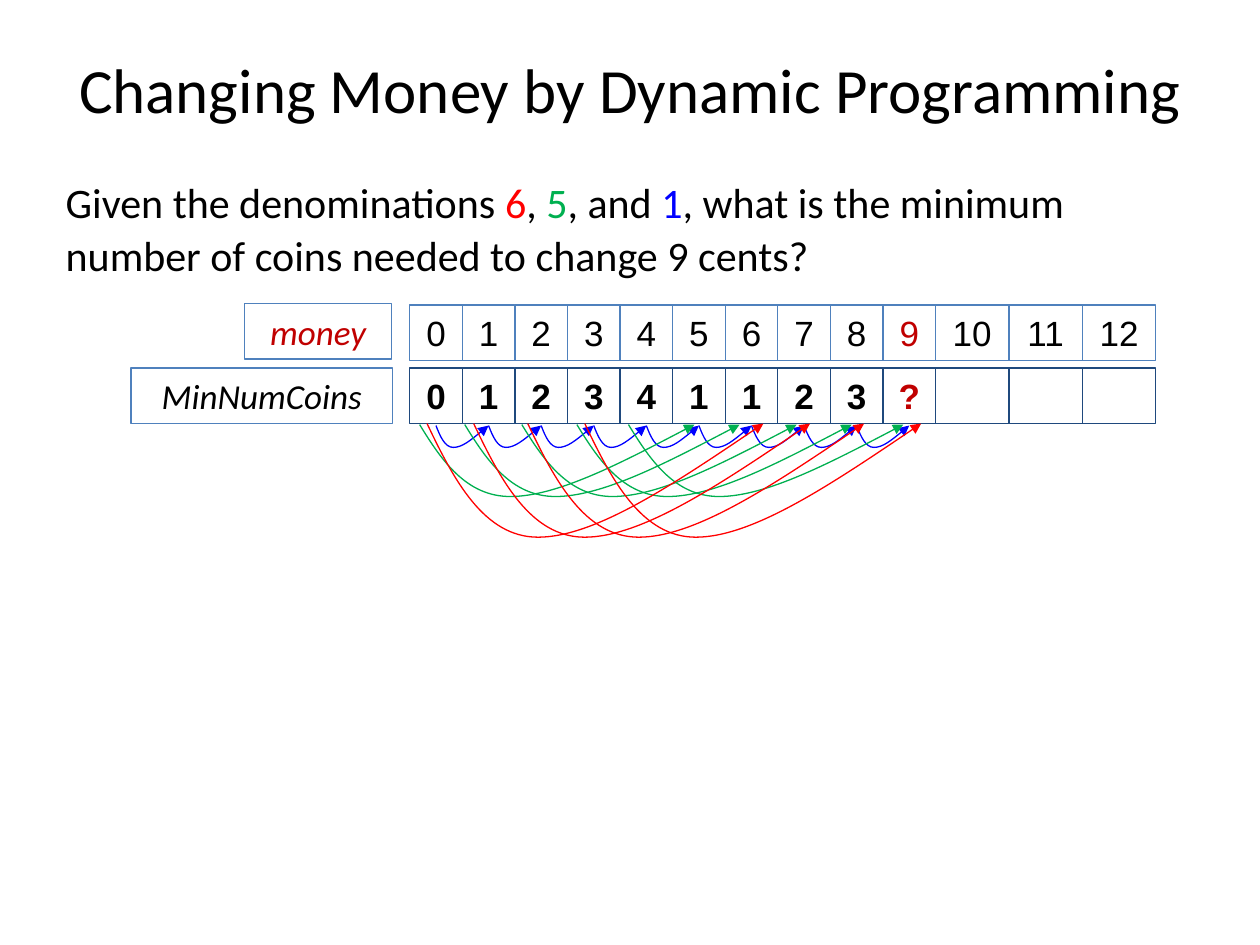
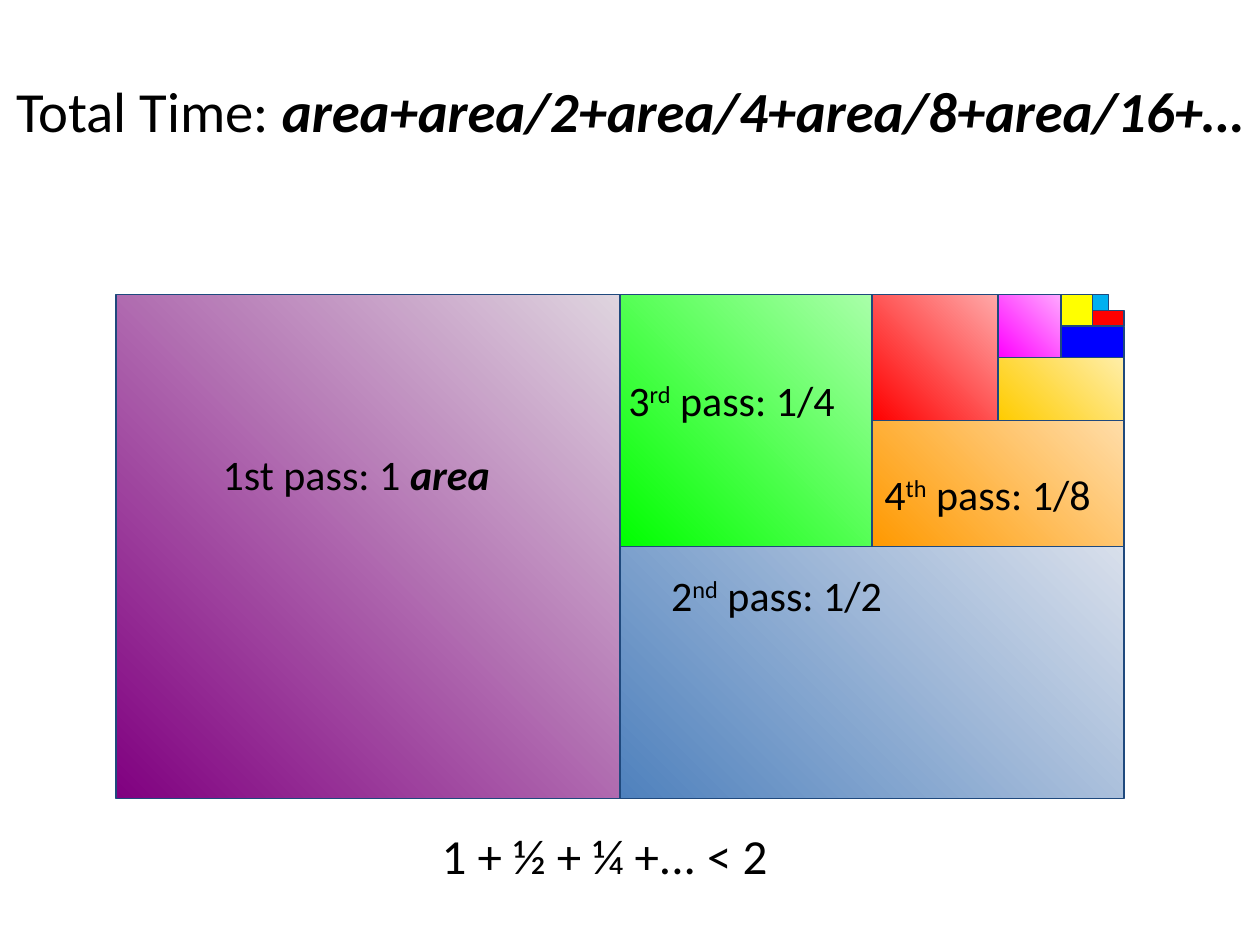
from dataclasses import dataclass

from lxml.etree import SubElement
from pptx import Presentation
from pptx.dml.color import RGBColor
from pptx.enum.shapes import MSO_SHAPE as Preset
from pptx.enum.text import MSO_ANCHOR as Anchor, MSO_AUTO_SIZE as AutoSize, PP_ALIGN as Align
from pptx.oxml.ns import qn
from pptx.util import Cm, Pt


@dataclass(frozen=True)
class Theme:
    font: str = "Calibri"
    cell_font: str = "Arial"
    black: str = "000000"
    red: str = "FF0000"
    green: str = "00B050"
    blue: str = "0000FF"
    accent: str = "C00000"
    light_line: str = "4F81BD"
    dark_line: str = "1F497D"
    title_size: float = 36
    formula_size: float = 32.4
    sum_size: float = 28
    text_size: float = 24
    cell_size: float = 20
    line_width: float = 0.75


THEME = Theme()
CELL_LEFT, CELL_WIDTH, WIDE_CELL_WIDTH, CELL_HEIGHT = 8.26, 1.06, 1.48, 1.12
MONEY_TOP, COINS_TOP = 6.15, 7.42
ARC_POINTS = [(0.75, 0.5), (0.5, 1), (0.33, 1), (0.17, 1), (0.08, 0.5), (0, 0)]
PASS_FILLS = [
    ("800080", "DFD5DF"), ("4F81BD", "D8DFEB"), ("00FF00", "A9FFA9"),
    ("FF9900", "FFDDA9"), ("FF0000", "FFA9A9"), ("FFCC00", "FFEEA9"),
    ("FF00FF", "FFA9FF"), ("0000FF",), ("FFFF00",), ("FF0000",), ("00B0F0",),
]


def rgb(color):
    return RGBColor.from_string(color)


def write_text(shape, runs, size, font=THEME.font, align=Align.LEFT, color=THEME.black,
               bold=None, italic=None):
    frame = shape.text_frame
    frame.word_wrap = True
    frame.auto_size = AutoSize.NONE
    paragraph = frame.paragraphs[0]
    paragraph.alignment = align
    paragraph.space_before = Pt(0)
    paragraph.font.name = font
    paragraph.font.size = Pt(size)
    paragraph.font.bold = bold
    paragraph.font.italic = italic
    paragraph.font.color.rgb = rgb(color)
    for text, style in runs:
        run = paragraph.add_run()
        run.text = text
        if style == "strong":
            run.font.bold = run.font.italic = True
        elif style == "super":
            run._r.get_or_add_rPr().set("baseline", "30000")
        elif style:
            run.font.color.rgb = rgb(style)
    return paragraph


def place(shape, left, top, width, height):
    shape.left, shape.top, shape.width, shape.height = map(Cm, (left, top, width, height))


def add_title(slide, box, runs, size):
    title = slide.shapes.title
    place(title, *box)
    title.text_frame.vertical_anchor = Anchor.MIDDLE
    write_text(title, runs, size, align=Align.CENTER)


def add_body(slide, box, runs, size, indent=0):
    body = slide.placeholders[1]
    place(body, *box)
    properties = body.text_frame.paragraphs[0]._p.get_or_add_pPr()
    properties.set("marL", str(Cm(indent)))
    properties.set("indent", "0")
    SubElement(properties, qn("a:buNone"))
    return write_text(body, runs, size)


def add_label(slide, box, runs):
    write_text(slide.shapes.add_textbox(*map(Cm, box)), runs, THEME.text_size)


def add_rectangle(slide, box, line, fills=()):
    shape = slide.shapes.add_shape(Preset.RECTANGLE, *map(Cm, box))
    shape.shadow.inherit = False
    shape.line.color.rgb = rgb(line)
    shape.line.width = Pt(THEME.line_width)
    if len(fills) == 2:
        shape.fill.gradient()
        shape.fill.gradient_angle = 45
        for stop, color in zip(shape.fill.gradient_stops, fills):
            stop.color.rgb = rgb(color)
    elif fills:
        shape.fill.solid()
        shape.fill.fore_color.rgb = rgb(fills[0])
    else:
        shape.fill.background()
    return shape


def add_cell(slide, box, line, text, **style):
    shape = add_rectangle(slide, box, line)
    if text:
        frame = shape.text_frame
        frame.vertical_anchor = Anchor.MIDDLE
        frame.margin_top = frame.margin_bottom = 0
        write_text(shape, [(text, None)], THEME.cell_size, align=Align.CENTER, **style)


def add_cell_row(slide, top, line, texts, accent_text, bold=None):
    left = CELL_LEFT
    for index, text in enumerate(texts):
        width = CELL_WIDTH if index < 10 else WIDE_CELL_WIDTH
        color = THEME.accent if text == accent_text else THEME.black
        add_cell(slide, (left, top, width, CELL_HEIGHT), line, text,
                 font=THEME.cell_font, color=color, bold=bold)
        left += width


def add_arc(slide, left, top, width, depth, color):
    builder = slide.shapes.build_freeform(Cm(left + width), Cm(top))
    builder.add_line_segments(
        [(Cm(left + x * width), Cm(top + y * depth)) for x, y in ARC_POINTS], close=False)
    arc = builder.convert_to_shape()
    outline = next(arc._element.iter(qn("a:path")))
    segments = outline.findall(qn("a:lnTo"))
    for start in range(0, len(segments), 3):
        curve = SubElement(outline, qn("a:cubicBezTo"))
        for segment in segments[start:start + 3]:
            curve.append(segment[0])
            outline.remove(segment)
    arc.shadow.inherit = False
    arc.fill.background()
    arc.line.color.rgb = rgb(color)
    arc.line.width = Pt(THEME.line_width)
    SubElement(arc.line._get_or_add_ln(), qn("a:headEnd"), type="triangle")


def build_money_slide(slide):
    add_title(slide, (1.27, 0.2, 22.86, 3.18),
              [("Changing Money by Dynamic Programming", None)], THEME.title_size)
    question = add_body(slide, (1.07, 3.38, 22.86, 11.43), [
        ("Given the denominations ", None), ("6", THEME.red), (", ", None),
        ("5", THEME.green), (", and ", None), ("1", THEME.blue),
        (", what is the minimum number of coins needed to change 9 cents?", None),
    ], THEME.text_size)
    question.line_spacing = 1.05

    add_cell(slide, (4.93, 6.12, 2.97, CELL_HEIGHT), THEME.light_line, "money",
             color=THEME.accent, italic=True)
    add_cell(slide, (2.64, COINS_TOP, 5.28, CELL_HEIGHT), THEME.light_line, "MinNumCoins",
             italic=True)
    add_cell_row(slide, MONEY_TOP, THEME.light_line, [str(n) for n in range(13)], "9")
    add_cell_row(slide, COINS_TOP, THEME.dark_line, [*"012341123?", "", "", ""], "?", bold=True)

    one_coin_lefts = [CELL_LEFT + CELL_WIDTH * (i + 0.5) for i in range(9)]
    five_coin_lefts = [8.46, 9.37, 10.52, 11.63, 12.67]
    six_coin_lefts = [8.61, 9.55, 10.64, 11.79]
    for lefts, top, width, depth, color in [
        (one_coin_lefts, 8.58, CELL_WIDTH, 0.44, THEME.blue),
        (five_coin_lefts, 8.56, 5.54, 1.45, THEME.green),
        (six_coin_lefts, 8.54, 6.78, 2.29, THEME.red),
    ]:
        for left in lefts:
            add_arc(slide, left, top, width, depth, color)


def add_halving_passes(slide, left, top, side):
    for index, fills in enumerate(PASS_FILLS):
        if index % 2 == 0:
            box = (left, top, side, side)
            left += side
        else:
            box = (left, top + side / 2, side, side / 2)
            side /= 2
        add_rectangle(slide, box, THEME.dark_line, fills)


def build_total_time_slide(slide):
    add_title(slide, (0, 1.47, 25.4, 1.47), [
        ("Total Time: ", None), ("area+area/2+area/4+area/8+area/16+…", "strong"),
    ], THEME.formula_size)
    add_body(slide, (7.98, 16.51, 8.89, 1.47), [("1 + ½ + ¼ +... < 2", None)],
             THEME.sum_size, indent=0.67)
    add_halving_passes(slide, 2.34, 5.94, 10.16)
    add_label(slide, (4.24, 8.92, 6.35, 1.3), [("1st pass: 1 ", None), ("area", "strong")])
    for number, ending, share, left, top in [
        ("2", "nd", "1/2", 13.28, 11.35),
        ("3", "rd", "1/4", 12.42, 7.42),
        ("4", "th", "1/8", 17.58, 9.32),
    ]:
        add_label(slide, (left, top, 5.2, 1.3),
                  [(number, None), (ending, "super"), (f" pass: {share}", None)])


def main():
    presentation = Presentation()
    presentation.slide_width, presentation.slide_height = Cm(25.4), Cm(19.05)
    for build in (build_money_slide, build_total_time_slide):
        build(presentation.slides.add_slide(presentation.slide_layouts[1]))
    presentation.save("out.pptx")


if __name__ == "__main__":
    main()
